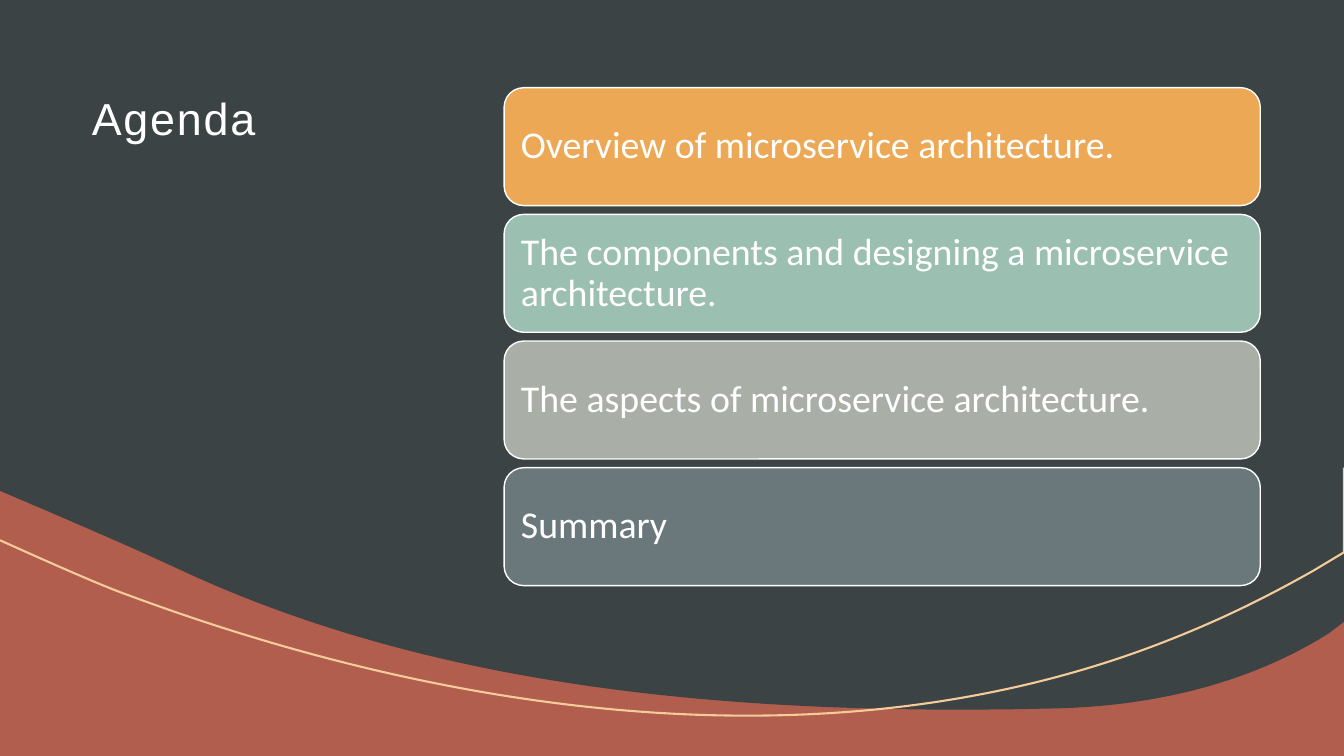
import dataclasses

import lxml.etree
import pptx
import pptx.dml.color
import pptx.enum.shapes
import pptx.enum.text
import pptx.oxml.ns
import pptx.util

Inches = pptx.util.Inches
Point = tuple[float, float]

COLORS = {
    "clay": "B15E4E",
    "slate": "3B4345",
    "peach": "F4CB99",
    "white": "FFFFFF",
    "orange": "ECA855",
    "mint": "9BBFB0",
    "stone": "A9AEA7",
    "steel": "6A787C",
}
CARD_LEFT, CARD_WIDTH, CARD_HEIGHT = 5, 7.5, 1.17
FIRST_TOP, LAST_TOP = 0.87, 4.64


@dataclasses.dataclass
class Card:
    text: str
    color: str


@dataclasses.dataclass
class Outline:
    start: Point
    segments: list[tuple[Point, ...]]
    closed: bool


CARDS = [
    Card("Overview of microservice architecture.", "orange"),
    Card("The components and designing a microservice architecture.", "mint"),
    Card("The aspects of microservice architecture.", "stone"),
    Card("Summary", "steel"),
]

HILL = Outline(
    (0, 0),
    [
        ((13.33, 0),),
        ((13.33, 6.17),),
        ((13.17, 6.29),),
        ((12.32, 6.82), (11.33, 7.02), (10.37, 7.03)),
        ((10.02, 7.04), (9.66, 7.04), (9.3, 7.04)),
        ((6.77, 7.02), (4.14, 6.75), (1.78, 5.65)),
        ((1.35, 5.45), (0.91, 5.26), (0.47, 5.07)),
        ((0, 4.87),),
    ],
    True,
)
SWOOSH = Outline(
    (13.33, 4.64),
    [
        ((13.33, 5.48),),
        ((13.03, 5.66),),
        ((12.64, 5.88), (12.2, 6.11), (11.62, 6.34)),
        ((10.29, 6.87), (8.87, 7.1), (7.41, 7.1)),
        ((5.36, 7.1), (3.25, 6.64), (1.26, 5.9)),
        ((0.98, 5.8), (0.4, 5.54), (0, 5.36)),
    ],
    False,
)


def rgb(name: str) -> pptx.dml.color.RGBColor:
    return pptx.dml.color.RGBColor.from_string(COLORS[name])


def add_outline(s: pptx.slide.Slide, outline: Outline) -> pptx.shapes.autoshape.Shape:
    qn = pptx.oxml.ns.qn
    builder = s.shapes.build_freeform(*map(Inches, outline.start))
    anchors = [tuple(map(Inches, segment[-1])) for segment in outline.segments]
    builder.add_line_segments(anchors, close=outline.closed)
    sp = builder.convert_to_shape()
    sp.shadow.inherit = False
    lines = list(sp.element.iter(qn("a:lnTo")))
    for line, segment in zip(lines, outline.segments):
        if len(segment) == 3:
            curve = lxml.etree.Element(qn("a:cubicBezTo"))
            for x, y in segment:
                pt = lxml.etree.SubElement(curve, qn("a:pt"))
                pt.set("x", str(Inches(x) - sp.left))
                pt.set("y", str(Inches(y) - sp.top))
            line.getparent().replace(line, curve)
    return sp


def write(
    sp: pptx.shapes.autoshape.Shape,
    text: str,
    *,
    font: str,
    size: float,
    anchor: pptx.enum.text.MSO_ANCHOR,
    inset: float,
    spacing: float = 0,
) -> None:
    tf = sp.text_frame
    tf.word_wrap = True
    tf.auto_size = pptx.enum.text.MSO_AUTO_SIZE.NONE
    tf.vertical_anchor = anchor
    tf.margin_left = tf.margin_right = tf.margin_top = tf.margin_bottom = Inches(inset)
    p = tf.paragraphs[0]
    p.alignment = pptx.enum.text.PP_ALIGN.LEFT
    p.line_spacing = 0.9
    p.space_before = pptx.util.Pt(0)
    r = p.add_run()
    r.text = text
    r.font.name = font
    r.font.size = pptx.util.Pt(size)
    r.font.color.rgb = rgb("white")
    if spacing:
        r.font._element.set("spc", str(round(spacing * 100)))


def add_card(s: pptx.slide.Slide, card: Card, top: float) -> None:
    sp = s.shapes.add_shape(
        pptx.enum.shapes.MSO_SHAPE.ROUNDED_RECTANGLE,
        Inches(CARD_LEFT), Inches(top), Inches(CARD_WIDTH), Inches(CARD_HEIGHT),
    )
    sp.shadow.inherit = False
    sp.fill.solid()
    sp.fill.fore_color.rgb = rgb(card.color)
    sp.line.color.rgb = rgb("white")
    sp.line.width = pptx.util.Pt(1)
    write(sp, card.text, font="Calibri", size=27,
          anchor=pptx.enum.text.MSO_ANCHOR.MIDDLE, inset=0.11)


def main() -> None:
    prs = pptx.Presentation()
    prs.slide_width, prs.slide_height = Inches(13.33), Inches(7.5)
    s = prs.slides.add_slide(prs.slide_layouts[5])
    s.background.fill.solid()
    s.background.fill.fore_color.rgb = rgb("clay")

    hill = add_outline(s, HILL)
    hill.fill.solid()
    hill.fill.fore_color.rgb = rgb("slate")
    hill.line.fill.background()

    swoosh = add_outline(s, SWOOSH)
    swoosh.fill.background()
    swoosh.line.color.rgb = rgb("peach")
    swoosh.line.width = pptx.util.Pt(1.5)

    title = s.shapes.title
    swoosh.element.addnext(title.element)
    title.left, title.top = Inches(0.79), Inches(0.84)
    title.width, title.height = Inches(3.89), Inches(0.97)
    write(title, "Agenda", font="Arial", size=32,
          anchor=pptx.enum.text.MSO_ANCHOR.TOP, inset=0.12, spacing=1.3)

    pitch = (LAST_TOP - FIRST_TOP) / (len(CARDS) - 1)
    for i, card in enumerate(CARDS):
        add_card(s, card, FIRST_TOP + i * pitch)

    prs.save("out.pptx")


if __name__ == "__main__":
    main()
